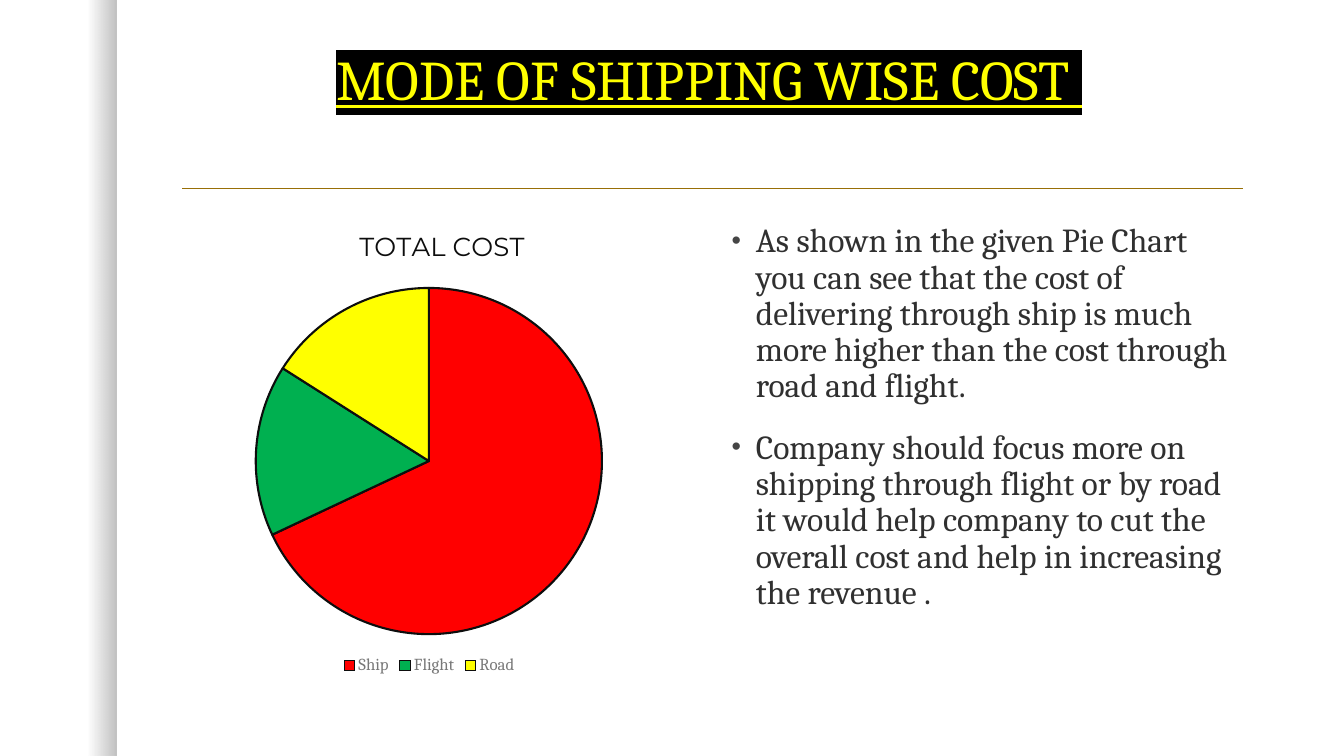
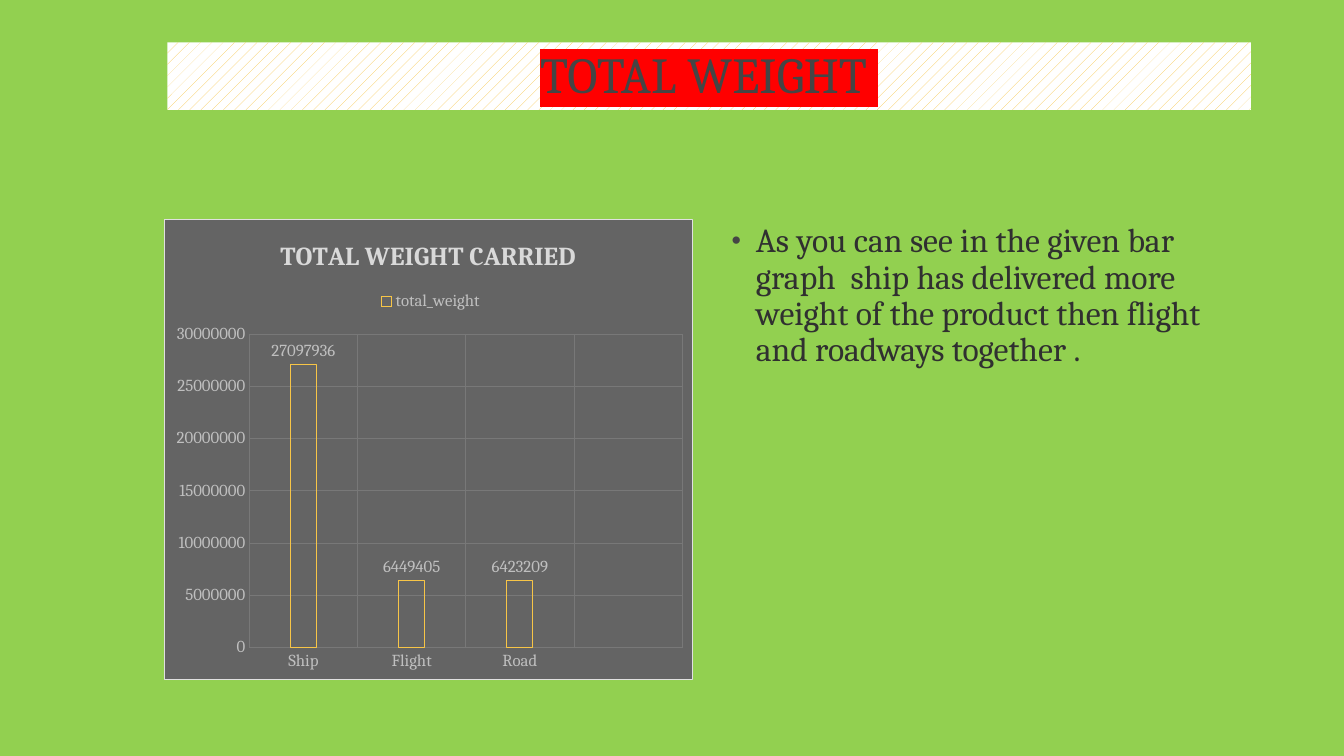
from lxml.etree import SubElement
from pptx import Presentation
from pptx.chart.data import CategoryChartData
from pptx.dml.color import RGBColor
from pptx.enum.chart import XL_CHART_TYPE as ChartType, XL_LABEL_POSITION as LabelPos
from pptx.enum.chart import XL_LEGEND_POSITION as LegendPos, XL_TICK_MARK as Tick
from pptx.enum.dml import MSO_PATTERN as Pattern
from pptx.enum.shapes import MSO_CONNECTOR as Connector, MSO_SHAPE as Shape
from pptx.enum.text import MSO_ANCHOR as Anchor, PP_ALIGN as Align
from pptx.oxml import parse_xml
from pptx.oxml.ns import nsdecls, qn
from pptx.util import Inches, Pt

COLORS = {
    "white": "FFFFFF", "black": "000000", "ink": "303030", "gray": "454545",
    "rule": "986F07", "yellow": "FFFF00", "red": "FF0000", "green": "00B050",
    "teal": "599EA5", "lime": "92D050", "gold": "F7C547", "outline": "0D0D0D",
    "legend": "787878", "panel": "646464", "grid": "787878", "label": "BFBFBF",
    "heading": "D9D9D9", "border": "E0E0E0",
}
SERIF, SANS = "Cambria", "Montserrat"

COST = {
    "title": "MODE OF SHIPPING WISE COST ",
    "chart_title": "TOTAL COST",
    "series": "Series 1",
    "data": [("Ship", 68), ("Flight", 16), ("Road", 16), ("", 0)],
    "slices": ["red", "green", "yellow", "teal"],
    "points": [
        "As shown in the given Pie Chart you can see that the cost of delivering "
        "through ship is much more higher than the cost through road and flight.",
        "Company should focus more on shipping through flight or by road it would "
        "help company to cut the overall cost and help in increasing the revenue .",
    ],
}
WEIGHT = {
    "title": "TOTAL WEIGHT ",
    "chart_title": "TOTAL WEIGHT CARRIED",
    "series": "total_weight",
    "data": [("Ship", 27097936), ("Flight", 6449405), ("Road", 6423209), ("", None)],
    "points": [
        "As you can see in the given bar graph  ship has delivered more weight "
        "of the product then flight and roadways together .",
    ],
}

CHART_LEFT, BODY_LEFT, CONTENT_TOP = 1.63, 7.16, 2.17
CONTENT_WIDTH, CONTENT_HEIGHT = 5.25, 4.58
TITLE_LEFT, TITLE_TOP, TITLE_WIDTH = 1.66, 0.42, 10.75


def rgb(name):
    return RGBColor.from_string(COLORS[name])


def style_font(font, size, color, face=SERIF, bold=False):
    font.size, font.name, font.bold = Pt(size), face, bold
    font.color.rgb = rgb(color)


def style_line(line, color, width=0.75):
    line.color.rgb = rgb(color)
    line.width = Pt(width)


def new_slide(deck, background):
    slide = deck.slides.add_slide(deck.slide_layouts[6])
    slide.background.fill.solid()
    slide.background.fill.fore_color.rgb = rgb(background)
    return slide


def add_side_shade(slide):
    shade = slide.shapes.add_shape(Shape.RECTANGLE, 0, 0, Inches(1.16), Inches(7.5))
    shade.shadow.inherit = False
    shade.line.fill.background()
    shade.fill.gradient()
    shade.fill.gradient_angle = 0
    for stop, position in zip(shade.fill.gradient_stops, (0.75, 1)):
        stop.position = position
        stop.color.rgb = rgb("black")
    for tint, alpha in zip(shade.element.spPr.iter(qn("a:srgbClr")), (0, 25000)):
        SubElement(tint, qn("a:alpha"), val=str(alpha))


def add_title_rule(slide):
    rule = slide.shapes.add_connector(
        Connector.STRAIGHT, Inches(1.81), Inches(1.87), Inches(12.33), Inches(1.87))
    style_line(rule.line, "rule", 1)
    SubElement(rule.element.spPr, qn("a:effectLst"))


def add_title(slide, text, height, size, color, highlight):
    title = slide.shapes.add_textbox(
        Inches(TITLE_LEFT), Inches(TITLE_TOP), Inches(TITLE_WIDTH), Inches(height))
    frame = title.text_frame
    frame.word_wrap = True
    frame.vertical_anchor = Anchor.BOTTOM
    frame.text = text
    paragraph = frame.paragraphs[0]
    paragraph.alignment, paragraph.line_spacing = Align.CENTER, 0.9
    run = paragraph.runs[0]
    style_font(run.font, size, color)
    mark = parse_xml(f'<a:highlight {nsdecls("a")}>'
                     f'<a:srgbClr val="{COLORS[highlight]}"/></a:highlight>')
    run._r.rPr.find(qn("a:solidFill")).addnext(mark)
    return title, run.font


def add_bullets(slide, points):
    body = slide.shapes.add_textbox(
        Inches(BODY_LEFT), Inches(CONTENT_TOP), Inches(CONTENT_WIDTH), Inches(CONTENT_HEIGHT))
    frame = body.text_frame
    frame.word_wrap = True
    frame.text = "\n".join(points)
    for paragraph in frame.paragraphs:
        paragraph.line_spacing, paragraph.space_before = 0.9, Pt(18)
        style_font(paragraph.runs[0].font, 24, "ink")
        props = paragraph._p.get_or_add_pPr()
        props.set("marL", str(Inches(0.24)))
        props.set("indent", str(-Inches(0.24)))
        color = SubElement(props, qn("a:buClr"))
        SubElement(color, qn("a:srgbClr"), val=COLORS["gray"])
        SubElement(props, qn("a:buSzPct"), val="80000")
        SubElement(props, qn("a:buFont"), typeface="Arial")
        SubElement(props, qn("a:buChar"), char="•")


def place(part, after, **box):
    for old in part.findall(qn("c:layout")):
        part.remove(old)
    modes = '<c:layoutTarget val="inner"/>' if "w" in box else ""
    modes += '<c:xMode val="edge"/><c:yMode val="edge"/>'
    values = "".join(f'<c:{key} val="{value}"/>' for key, value in box.items())
    layout = parse_xml(f'<c:layout {nsdecls("c")}><c:manualLayout>{modes}{values}'
                       '</c:manualLayout></c:layout>')
    if after:
        part.find(qn(after)).addnext(layout)
    else:
        part.insert(0, layout)


def add_content_chart(slide, kind, content, title_style, legend, legend_color, boxes):
    data = CategoryChartData()
    data.categories = [name for name, value in content["data"]]
    data.add_series(content["series"], [value for name, value in content["data"]])
    chart = slide.shapes.add_chart(
        kind, Inches(CHART_LEFT), Inches(CONTENT_TOP),
        Inches(CONTENT_WIDTH), Inches(CONTENT_HEIGHT), data).chart
    style_font(chart.font, 10, "ink")
    chart.has_title = True
    heading = chart.chart_title.text_frame
    heading.text = content["chart_title"]
    style_font(heading.paragraphs[0].runs[0].font, 18.6, *title_style)
    chart.has_legend = True
    chart.legend.position = legend
    chart.legend.include_in_layout = False
    style_font(chart.legend.font, 12, legend_color)
    plot_area = chart.element.find(".//" + qn("c:plotArea"))
    place(chart.chart_title._element, "c:tx", **boxes["title"])
    place(chart.legend._element, "c:legendPos", **boxes["legend"])
    place(plot_area, None, **boxes["plot"])
    return chart


def drop_legend_entry(chart, index):
    entry = parse_xml(f'<c:legendEntry {nsdecls("c")}><c:idx val="{index}"/>'
                      '<c:delete val="1"/></c:legendEntry>')
    chart.legend._element.find(qn("c:legendPos")).addnext(entry)


def build_cost(deck):
    slide = new_slide(deck, "white")
    add_side_shade(slide)
    add_title_rule(slide)
    title, font = add_title(slide, COST["title"], 0.75, 40, "yellow", "black")
    font.underline = True
    chart = add_content_chart(
        slide, ChartType.PIE, COST, ("outline", SANS), LegendPos.BOTTOM, "legend",
        {"title": {"x": 0.36, "y": 0.01}, "legend": {"x": 0.33, "y": 0.95},
         "plot": {"x": 0.17, "y": 0.15, "w": 0.66, "h": 0.75}})
    pie = chart.plots[0]
    pie.vary_by_categories = True
    for index, color in enumerate(COST["slices"]):
        piece = pie.series[0].points[index].format
        piece.fill.solid()
        piece.fill.fore_color.rgb = rgb(color)
        style_line(piece.line, "outline", 1.5)
    drop_legend_entry(chart, len(COST["data"]) - 1)
    add_bullets(slide, COST["points"])


def build_weight(deck):
    slide = new_slide(deck, "lime")
    title, font = add_title(slide, WEIGHT["title"], 0.67, 36, "gray", "red")
    title.fill.patterned()
    title.fill.pattern = Pattern.PERCENT_10
    title.fill.fore_color.rgb = rgb("gold")
    title.fill.back_color.rgb = rgb("white")
    chart = add_content_chart(
        slide, ChartType.COLUMN_CLUSTERED, WEIGHT, ("heading", SERIF, True),
        LegendPos.TOP, "label",
        {"title": {"x": 0.21, "y": 0.03}, "legend": {"x": 0.4, "y": 0.15},
         "plot": {"x": 0.16, "y": 0.25, "w": 0.82, "h": 0.68}})
    chart.element.find(qn("c:chart")).addnext(parse_xml(
        f'<c:spPr {nsdecls("c", "a")}><a:solidFill><a:srgbClr val="{COLORS["panel"]}"/>'
        f'</a:solidFill><a:ln w="{Pt(0.75)}"><a:solidFill>'
        f'<a:srgbClr val="{COLORS["border"]}"/></a:solidFill></a:ln></c:spPr>'))
    for axis in (chart.category_axis, chart.value_axis):
        axis.major_tick_mark = axis.minor_tick_mark = Tick.NONE
        axis.has_major_gridlines = True
        style_line(axis.major_gridlines.format.line, "grid")
        axis.format.line.fill.background()
        style_font(axis.tick_labels.font, 12, "label")
    chart.value_axis.minimum_scale = 0
    chart.value_axis.maximum_scale = 30000000
    chart.value_axis.major_unit = 5000000
    columns = chart.plots[0]
    columns.vary_by_categories = False
    columns.gap_width, columns.overlap = 315, -40
    weights = columns.series[0]
    weights.format.fill.background()
    style_line(weights.format.line, "gold")
    labels = weights.data_labels
    labels.show_value = True
    labels.position = LabelPos.OUTSIDE_END
    style_font(labels.font, 12, "label")
    add_bullets(slide, WEIGHT["points"])


def main():
    deck = Presentation()
    deck.slide_width, deck.slide_height = Inches(40) // 3, Inches(7.5)
    build_cost(deck)
    build_weight(deck)
    deck.save("out.pptx")


if __name__ == "__main__":
    main()
